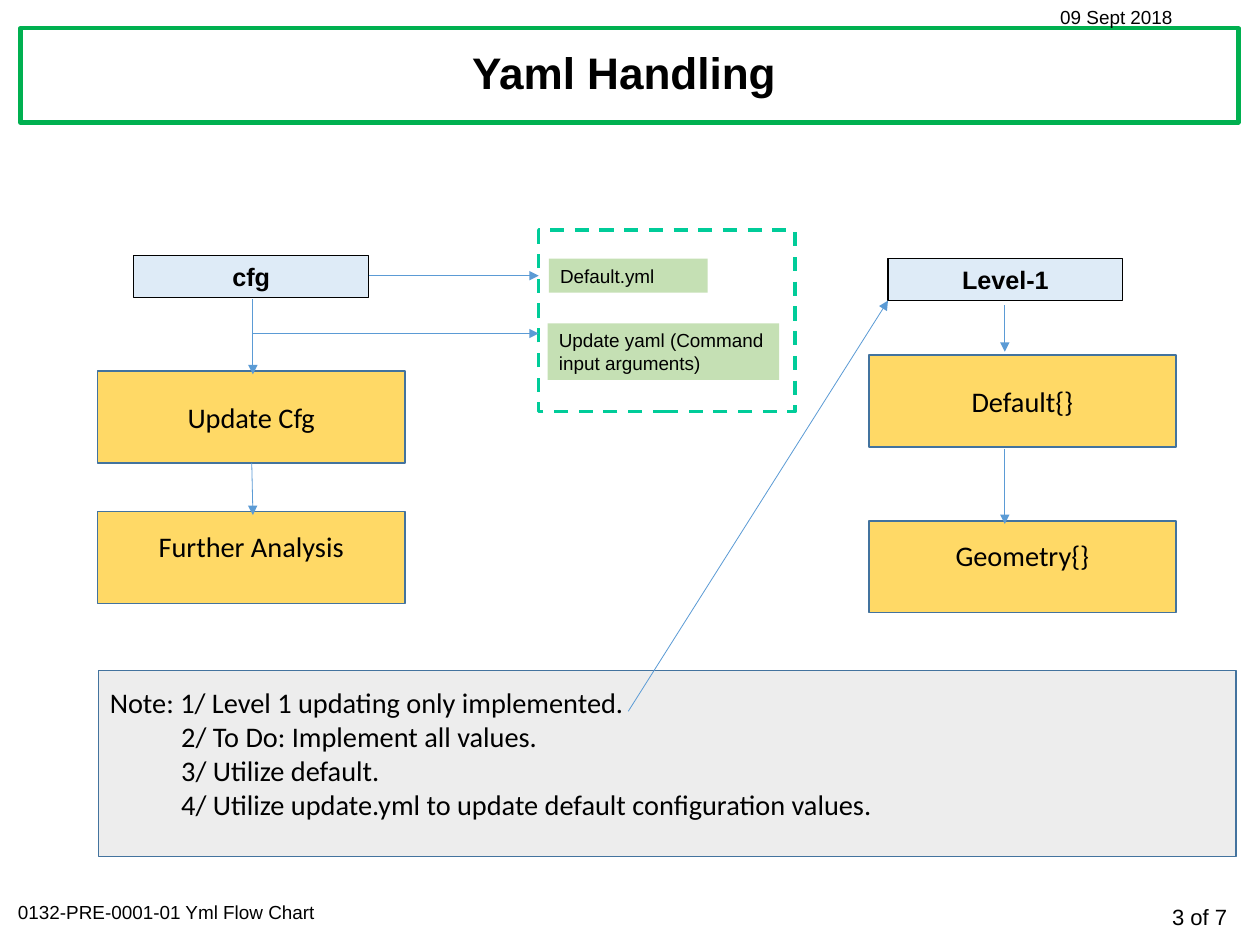
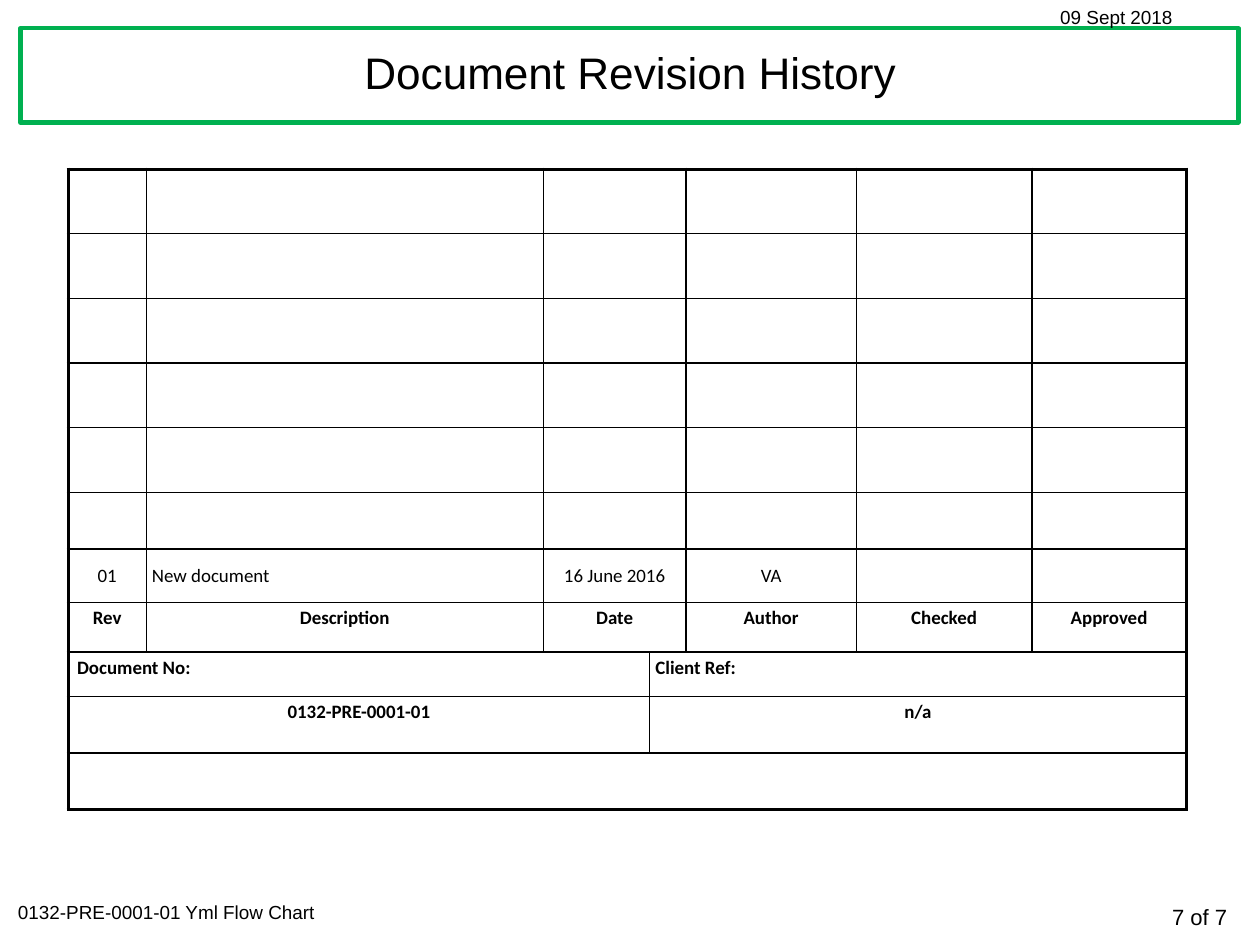
from dataclasses import dataclass
from typing import NamedTuple, Optional

from pptx import Presentation
from pptx.dml.color import RGBColor
from pptx.enum.dml import MSO_LINE
from pptx.enum.shapes import MSO_CONNECTOR, MSO_SHAPE
from pptx.enum.text import MSO_ANCHOR, PP_ALIGN
from pptx.oxml.ns import qn
from pptx.oxml.xmlchemy import OxmlElement
from pptx.shapes.autoshape import Shape
from pptx.slide import Slide
from pptx.table import Table, _Cell
from pptx.text.text import TextFrame
from pptx.util import Inches, Pt

BLACK = RGBColor(0x00, 0x00, 0x00)
WHITE = RGBColor(0xFF, 0xFF, 0xFF)
BAND_GREEN = RGBColor(0x00, 0xB0, 0x50)
DASH_GREEN = RGBColor(0x00, 0xCC, 0x99)
FILE_GREEN = RGBColor(0xC5, 0xE0, 0xB4)
HEADING_BLUE = RGBColor(0xDE, 0xEB, 0xF7)
STEP_YELLOW = RGBColor(0xFF, 0xD9, 0x66)
STEP_LINE = RGBColor(0x43, 0x73, 0x9E)
ARROW_BLUE = RGBColor(0x5B, 0x9B, 0xD5)
NOTE_GREY = RGBColor(0xED, 0xED, 0xED)

PAGE_COUNT = 7
DOCUMENT_NUMBER = "0132-PRE-0001-01"


class Area(NamedTuple):
    left: float
    top: float
    width: float
    height: float


class Arrow(NamedTuple):
    begin: tuple[float, float]
    end: tuple[float, float]


@dataclass(frozen=True)
class TextStyle:
    size: float
    font: str = "Arial"
    bold: bool = False
    alignment: PP_ALIGN = PP_ALIGN.LEFT


@dataclass(frozen=True)
class BoxStyle:
    text: TextStyle
    fill: Optional[RGBColor] = None
    line: Optional[RGBColor] = None
    line_width: float = 1


@dataclass(frozen=True)
class Box:
    text: str
    area: Area
    style: BoxStyle
    bottom_margin: float = 0.05


@dataclass(frozen=True)
class TableRow:
    height: float
    spans: tuple[int, ...]
    texts: tuple[str, ...] = ()
    bold: bool = True
    anchor: MSO_ANCHOR = MSO_ANCHOR.TOP
    left_aligned: tuple[int, ...] = ()


SMALL = TextStyle(12)
PAGE_NUMBER = TextStyle(14, alignment=PP_ALIGN.RIGHT)
STEP_TEXT = TextStyle(18, "Calibri", alignment=PP_ALIGN.CENTER)
HEADING = BoxStyle(TextStyle(16, bold=True, alignment=PP_ALIGN.CENTER), HEADING_BLUE, BLACK, 0.75)
STEP = BoxStyle(STEP_TEXT, STEP_YELLOW, STEP_LINE)
NOTE = BoxStyle(TextStyle(18, "Calibri"), NOTE_GREY, STEP_LINE)
FILE = BoxStyle(SMALL, FILE_GREEN)
FILE_GROUP = BoxStyle(SMALL, None, DASH_GREEN, 2.25)
TITLE_BAND = BoxStyle(SMALL, WHITE, BAND_GREEN, 2.75)


def heading_area(left: float, top: float) -> Area:
    return Area(left, top, 2.07, 0.37)


def step_area(left: float, top: float) -> Area:
    return Area(left, top, 2.71, 0.81)


FLOW_BOXES = (
    Box("cfg", heading_area(1.18, 2.25), HEADING),
    Box("Update Cfg", step_area(0.86, 3.27), STEP),
    Box("Further Analysis", step_area(0.86, 4.51), STEP, 0.25),
    Box("Default.yml", Area(4.84, 2.28, 1.4, 0.3), FILE),
    Box("Update yaml (Command input arguments)", Area(4.83, 2.85, 2.04, 0.5), FILE),
    Box("Level-1", heading_area(7.83, 2.28), HEADING),
    Box("Default{}", step_area(7.66, 3.13), STEP),
    Box("Geometry{}", step_area(7.66, 4.59), STEP, 0.25),
)
FLOW_ARROWS = (
    Arrow((2.23, 2.64), (2.23, 3.3)),
    Arrow((2.23, 2.94), (4.75, 2.94)),
    Arrow((3.25, 2.43), (4.75, 2.43)),
    Arrow((2.22, 4.08), (2.23, 4.54)),
    Arrow((8.86, 2.69), (8.86, 3.1)),
    Arrow((8.86, 3.96), (8.86, 4.62)),
    Arrow((5.54, 6.27), (7.83, 2.65)),
)
NOTES = (
    "Note: 1/ Level 1 updating only implemented.",
    "2/ To Do: Implement all values.",
    "3/ Utilize default.",
    "4/ Utilize update.yml to update default configuration values.",
)

COLUMN_WIDTHS = (0.69, 3.5, 0.94, 0.32, 1.5, 1.55, 1.36)
REVISION_SPANS = (1, 1, 2, 1, 1, 1)
REFERENCE_SPANS = (3, 4)
TABLE_ROWS = (
    *(TableRow(height, REVISION_SPANS) for height in [0.57] * 5 + [0.5]),
    TableRow(0.47, REVISION_SPANS, ("01", "New document", "16 June 2016", "VA"),
             bold=False, anchor=MSO_ANCHOR.MIDDLE, left_aligned=(1,)),
    TableRow(0.44, REVISION_SPANS,
             ("Rev", "Description", "Date", "Author", "Checked", "Approved")),
    TableRow(0.39, REFERENCE_SPANS, ("Document No:", "Client Ref:"), left_aligned=(0, 1)),
    TableRow(0.5, REFERENCE_SPANS, (DOCUMENT_NUMBER, "n/a")),
    TableRow(0.5, (7,)),
)


def inches(area: Area) -> list[Inches]:
    return [Inches(length) for length in area]


def format_text(frame: TextFrame, style: TextStyle) -> None:
    for paragraph in frame.paragraphs:
        paragraph.alignment = style.alignment
        for run in paragraph.runs:
            run.font.name = style.font
            run.font.size = Pt(style.size)
            run.font.bold = style.bold
            run.font.color.rgb = BLACK


def add_text(slide: Slide, text: str, area: Area, style: TextStyle) -> Shape:
    shape = slide.shapes.add_textbox(*inches(area))
    frame = shape.text_frame
    frame.word_wrap = True
    frame.vertical_anchor = MSO_ANCHOR.MIDDLE
    frame.text = text
    format_text(frame, style)
    return shape


def add_box(slide: Slide, box: Box) -> Shape:
    style = box.style
    shape = slide.shapes.add_shape(MSO_SHAPE.RECTANGLE, *inches(box.area))
    shape.shadow.inherit = False
    if style.fill is None:
        shape.fill.background()
    else:
        shape.fill.solid()
        shape.fill.fore_color.rgb = style.fill
    if style.line is None:
        shape.line.fill.background()
    else:
        shape.line.color.rgb = style.line
        shape.line.width = Pt(style.line_width)
    if box.text:
        frame = shape.text_frame
        frame.word_wrap = True
        frame.vertical_anchor = MSO_ANCHOR.MIDDLE
        frame.margin_bottom = Inches(box.bottom_margin)
        frame.text = box.text
        format_text(frame, style.text)
    return shape


def add_arrow(slide: Slide, arrow: Arrow) -> None:
    ends = [Inches(length) for length in (*arrow.begin, *arrow.end)]
    connector = slide.shapes.add_connector(MSO_CONNECTOR.STRAIGHT, *ends)
    connector.line.color.rgb = ARROW_BLUE
    connector.line.width = Pt(0.5)
    properties = connector.element.spPr
    head = OxmlElement("a:tailEnd")
    head.set("type", "triangle")
    properties.find(qn("a:ln")).append(head)
    properties.append(OxmlElement("a:effectLst"))


def add_page(presentation: Presentation, title: str, number: int, bold: bool) -> Slide:
    """Add a slide with the title band, date and footer."""
    slide = presentation.slides.add_slide(presentation.slide_layouts[6])
    add_box(slide, Box("", Area(0.18, 0.25, 10.74, 0.83), TITLE_BAND))
    add_text(slide, f"{number} of {PAGE_COUNT}", Area(9.4, 7.91, 1.52, 0.34), PAGE_NUMBER)
    add_text(slide, f"{DOCUMENT_NUMBER} Yml Flow Chart", Area(0.06, 7.89, 3.99, 0.3), SMALL)
    add_text(slide, "09 Sept 2018", Area(9.25, 0, 1.68, 0.3), SMALL)
    title_style = TextStyle(28, bold=bold, alignment=PP_ALIGN.CENTER)
    title_shape = add_text(slide, title, Area(0.21, 0.25, 10.69, 0.83), title_style)
    title_shape.text_frame.paragraphs[0].line_spacing = 0.9
    return slide


def add_notes_box(slide: Slide) -> None:
    shape = add_box(slide, Box("\n".join(NOTES), Area(0.87, 5.91, 10.03, 1.64), NOTE))
    frame = shape.text_frame
    frame.vertical_anchor = MSO_ANCHOR.TOP
    frame.margin_top = Inches(0.13)
    for paragraph in frame.paragraphs[1:]:
        paragraph._p.get_or_add_pPr().set("marL", str(Inches(0.63)))


def set_borders(cell: _Cell, outer_sides: dict[str, bool]) -> None:
    properties = cell._tc.get_or_add_tcPr()
    for side, outer in outer_sides.items():
        line = OxmlElement(f"a:ln{side}")
        line.set("w", str(Pt(2.25 if outer else 1)))
        fill = OxmlElement("a:solidFill")
        color = OxmlElement("a:srgbClr")
        color.set("val", str(BLACK))
        fill.append(color)
        line.append(fill)
        properties.append(line)


def fill_row(table: Table, row_index: int, row: TableRow) -> None:
    table.rows[row_index].height = Inches(row.height)
    for cell in table.rows[row_index].cells:
        cell.margin_left = cell.margin_right = Inches(0.05)
        cell.margin_top = cell.margin_bottom = Inches(0.04)
    column = 0
    for index, span in enumerate(row.spans):
        cell = table.cell(row_index, column)
        last_column = column + span - 1
        if span > 1:
            cell.merge(table.cell(row_index, last_column))
        set_borders(cell, {
            "L": column == 0,
            "R": last_column == len(COLUMN_WIDTHS) - 1,
            "T": row_index == 0,
            "B": row_index == len(TABLE_ROWS) - 1,
        })
        cell.fill.background()
        cell.vertical_anchor = row.anchor
        if index < len(row.texts):
            cell.text_frame.text = row.texts[index]
            alignment = PP_ALIGN.LEFT if index in row.left_aligned else PP_ALIGN.CENTER
            format_text(cell.text_frame, TextStyle(12, "Calibri", row.bold, alignment))
        column += span


def build_flow_slide(presentation: Presentation) -> None:
    slide = add_page(presentation, "Yaml Handling ", 3, bold=True)
    group = add_box(slide, Box("", Area(4.75, 2.03, 2.26, 1.6), FILE_GROUP))
    group.line.dash_style = MSO_LINE.DASH
    for box in FLOW_BOXES:
        add_box(slide, box)
    add_notes_box(slide)
    for arrow in FLOW_ARROWS:
        add_arrow(slide, arrow)


def build_revision_slide(presentation: Presentation) -> None:
    slide = add_page(presentation, "Document Revision History", 7, bold=False)
    area = Area(0.6, 1.49, sum(COLUMN_WIDTHS), sum(row.height for row in TABLE_ROWS))
    table = slide.shapes.add_table(len(TABLE_ROWS), len(COLUMN_WIDTHS), *inches(area)).table
    table.first_row = table.horz_banding = False
    for column, width in zip(table.columns, COLUMN_WIDTHS):
        column.width = Inches(width)
    for row_index, row in enumerate(TABLE_ROWS):
        fill_row(table, row_index, row)
    # Set the document label in a little from the border
    table.cell(8, 0).margin_left = Inches(0.08)


def main() -> None:
    presentation = Presentation()
    presentation.slide_width = Inches(11.11)
    presentation.slide_height = Inches(8.33)
    build_flow_slide(presentation)
    build_revision_slide(presentation)
    presentation.save("out.pptx")


if __name__ == "__main__":
    main()
